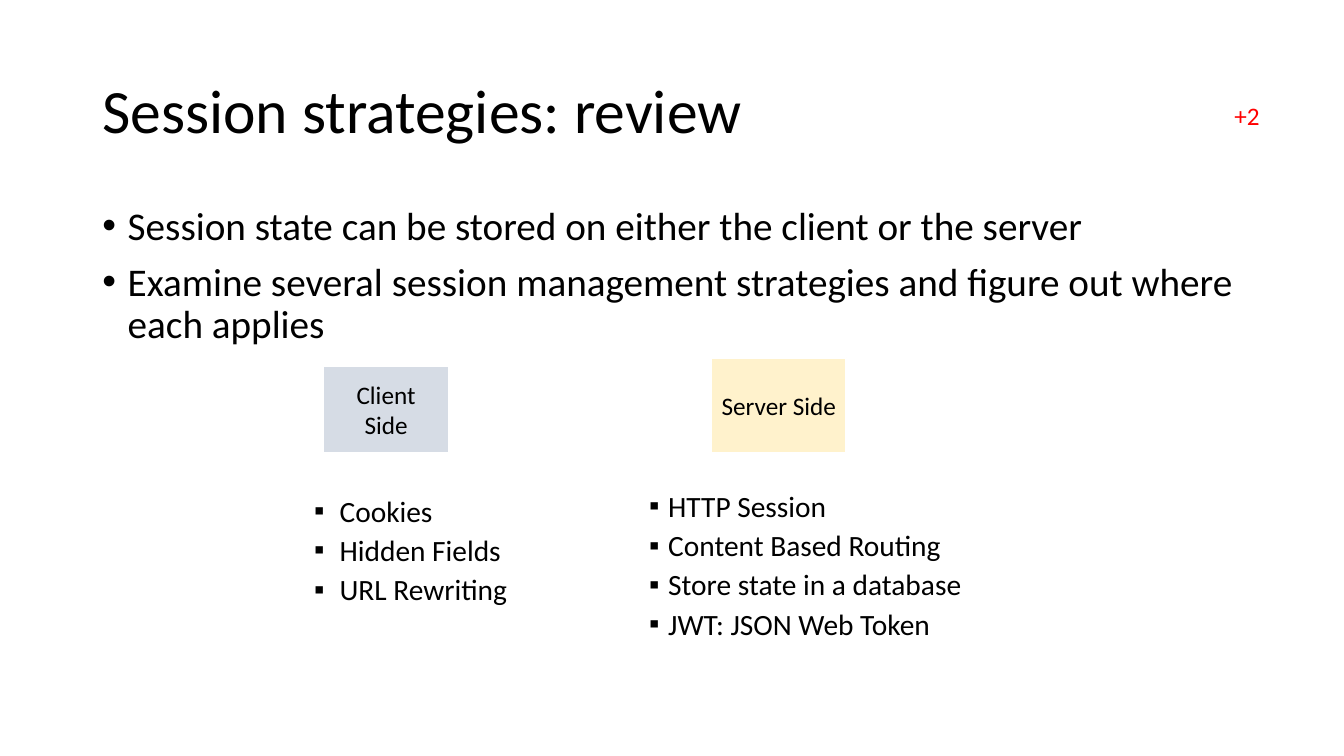
import dataclasses
import typing

import lxml.etree
import pptx
import pptx.dml.color
import pptx.enum.shapes
import pptx.enum.text
import pptx.oxml.ns
import pptx.util

Cm = pptx.util.Cm
Pt = pptx.util.Pt
RGB = pptx.dml.color.RGBColor
Anchor = pptx.enum.text.MSO_ANCHOR
Align = pptx.enum.text.PP_ALIGN

BLACK = RGB(0, 0, 0)
WHITE = RGB(255, 255, 255)
RED = RGB(255, 0, 0)
BLUE = RGB(0xD6, 0xDC, 0xE5)
CREAM = RGB(0xFF, 0xF2, 0xCC)

SIDES = ("margin_left", "margin_right", "margin_top", "margin_bottom")


def apply(obj, form):
    """Set every attribute named in the format dict."""
    for name, value in form.items():
        setattr(obj, name, value)


@dataclasses.dataclass
class Deck:
    """Hold the text style and the current slide."""

    slide: typing.Any
    font: str = "Calibri"

    def label(self, shape, lines, size, color=BLACK, frame=None, para=None):
        """Fill a shape with formatted paragraphs and return them."""
        body = shape.text_frame
        apply(body, {"word_wrap": True, **(frame or {})})
        body.text = "\n".join(lines)
        for item in body.paragraphs:
            apply(item, para or {})
            apply(item.font, {"name": self.font, "size": Pt(size)})
            item.font.color.rgb = color
        return body.paragraphs

    def text(self, spot, lines, size, **form):
        """Add a text box and return its paragraphs."""
        box = self.slide.shapes.add_textbox(*map(Cm, spot))
        return self.label(box, lines, size, **form)

    def bullets(self, spot, lines, size, mark, indent, **form):
        """Add a bulleted list with a hanging indent."""
        for item in self.text(spot, lines, size, **form):
            props = item._p.get_or_add_pPr()
            props.set("marL", str(Cm(indent)))
            props.set("indent", str(-Cm(indent)))
            for tag, key, value in (("a:buFont", "typeface", "Arial"),
                                    ("a:buChar", "char", mark)):
                node = lxml.etree.SubElement(props, pptx.oxml.ns.qn(tag))
                node.set(key, value)

    def block(self, spot, name, fill):
        """Add a filled rectangle with a centred label."""
        kind = pptx.enum.shapes.MSO_SHAPE.RECTANGLE
        box = self.slide.shapes.add_shape(kind, *map(Cm, spot))
        box.shadow.inherit = False
        box.fill.solid()
        box.fill.fore_color.rgb = fill
        box.line.color.rgb = WHITE
        box.line.width = Pt(1.5)
        frame = {"vertical_anchor": Anchor.MIDDLE,
                 "margin_left": Cm(0.2), "margin_right": Cm(0.2)}
        self.label(box, [name], 18, frame=frame,
                   para={"alignment": Align.CENTER})


show = pptx.Presentation()
apply(show, {"slide_width": Cm(33.87), "slide_height": Cm(19.05)})
deck = Deck(show.slides.add_slide(show.slide_layouts[6]))

deck.text((30.86, 2.41, 1.17, 1.02), ["+2"], 18, color=RED,
          frame={"word_wrap": False})
deck.text((2.33, 1.01, 29.21, 3.68), ["Session strategies: review"], 44,
          frame={"vertical_anchor": Anchor.MIDDLE},
          para={"line_spacing": 0.9})
deck.bullets((2.33, 5.07, 29.21, 12.09), [
    "Session state can be stored on either the client or the server",
    "Examine several session management strategies and figure out where "
    "each applies",
], 28, "•", 0.64, para={"line_spacing": 0.9, "space_before": Pt(10)})

deck.block((8.13, 9.22, 3.2, 2.21), "Client\vSide", BLUE)
deck.block((17.93, 9.02, 3.4, 2.39), "Server Side", CREAM)

lists = (
    ((7.92, 12.42, 6.4, 2.97), 0.64,
     ["Cookies", "Hidden Fields", "URL Rewriting"]),
    ((16.36, 12.3, 11.2, 3.99), 0.48,
     ["HTTP Session", "Content Based Routing", "Store state in a database",
      "JWT: JSON Web Token"]),
)
for spot, indent, lines in lists:
    deck.bullets(spot, lines, 21, "▪", indent,
                 frame=dict.fromkeys(SIDES, 0),
                 para={"space_after": Pt(2.8)})

show.save("out.pptx")
